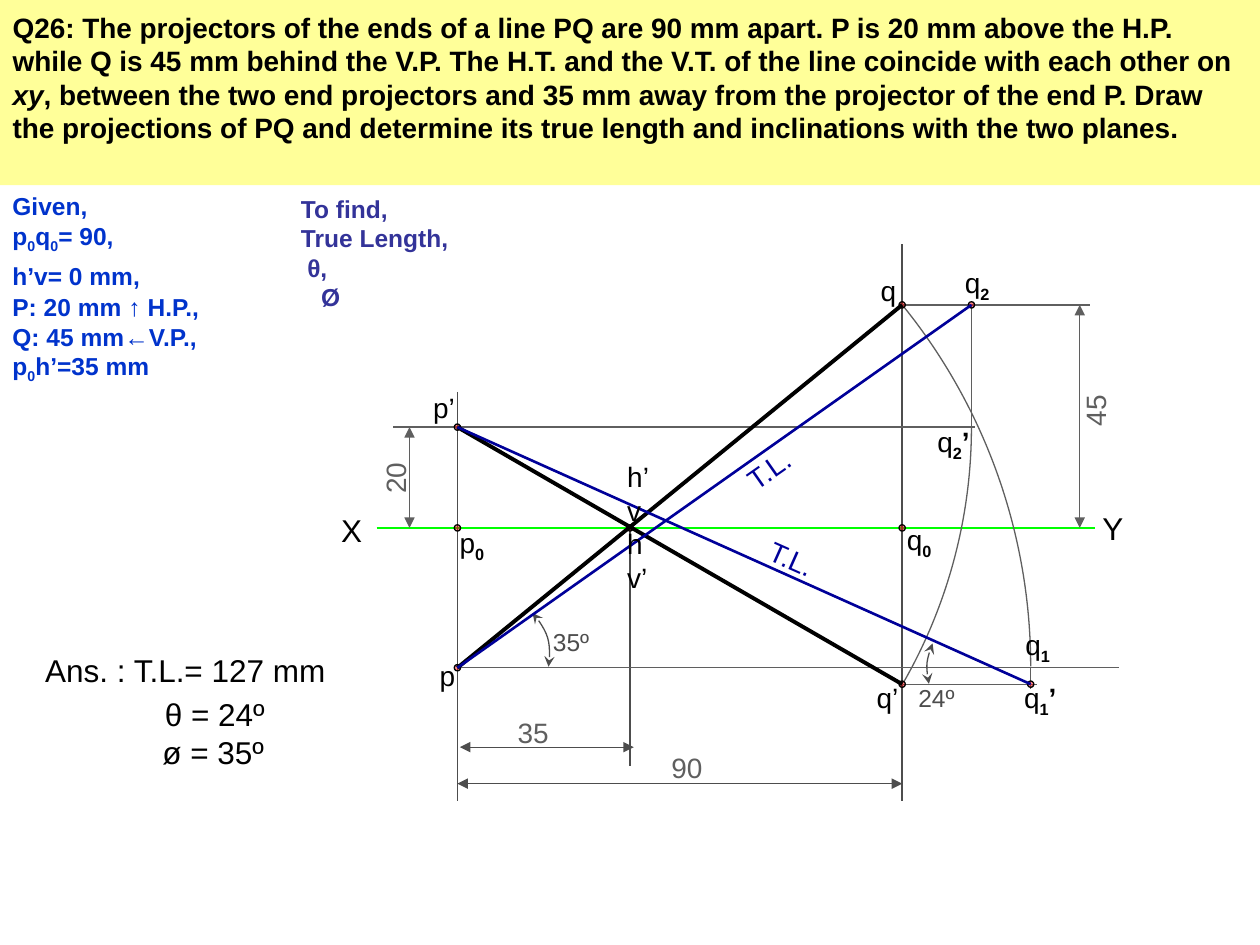
"""Builds the slide for problem Q26: projections, true length and inclinations of line PQ."""
import math

import pptx
import pptx.dml.color
import pptx.enum.shapes
import pptx.enum.text
import pptx.oxml
import pptx.oxml.ns
import pptx.util
from pptx.util import Inches

COLORS = {
    "band": "FFFF99", "black": "000000", "axis": "00FF00", "dimension": "4D4D4D",
    "guide": "5F5F5F", "dot": "FF0000", "true_length": "000099",
    "given": "0033CC", "find": "333399",
}

X_P, X_TRACE, X_Q, X_Q2, X_Q1 = 3.63, 5, 7.16, 7.71, 8.18
Y_Q, Y_P_FRONT, Y_AXIS, Y_P, Y_Q_FRONT = 2.42, 3.39, 4.19, 5.3, 5.43

QUESTION = [[
    ("Q26: The projectors of the ends of a line PQ are 90 mm apart. P is 20 mm above the H.P. "
     "while Q is 45 mm behind the V.P. The H.T. and the V.T. of the line coincide with each "
     "other on ", "b"),
    ("xy", "bi"),
    (", between the two end projectors and 35 mm away from the projector of the end P. Draw the "
     "projections of PQ and determine its true length and inclinations with the two planes.", "b"),
]]
GIVEN = [
    [("Given,", "b")],
    [("p", "b"), ("0", "bs"), ("q", "b"), ("0", "bs"), ("= 90,", "b")],
    [("h’v= 0 mm,", "b")],
    [("P: 20 mm ", "b"), ("↑", ""), (" H.P.,", "b")],
    [("Q: 45 mm", "b"), ("←", ""), ("V.P.,", "b")],
    [("p", "b"), ("0", "bs"), ("h’=35 mm", "b")],
]
TO_FIND = [[(text, "b")] for text in ("To find,", "True Length,", "θ,", "Ø")]
TRACES = [[(text, "")] for text in ("h’", "v", "h", "v’")]

GUIDES = [
    ((2.99, Y_AXIS), (8.69, Y_AXIS), "axis"),
    ((X_P, 3.11), (X_P, 6.36), "dimension"),
    ((X_Q, 1.94), (X_Q, 6.36), "dimension"),
    ((X_TRACE, Y_AXIS), (X_TRACE, 6.08), "dimension"),
    ((3.12, Y_P_FRONT), (X_P, Y_P_FRONT), "guide"),
    ((3.32, Y_P_FRONT), (7.74, Y_P_FRONT), "guide"),
    ((X_Q, Y_Q), (8.65, Y_Q), "guide"),
    ((X_P, Y_P), (8.88, Y_P), "guide"),
    ((X_Q, Y_Q_FRONT), (8.23, Y_Q_FRONT), "guide"),
    ((X_Q1, Y_P), (X_Q1, 5.47), "guide"),
    ((X_Q2, Y_P_FRONT), (X_Q2, Y_Q), "guide"),
]
DIMENSIONS = [
    ((X_P, 6.22), (X_Q, 6.22), "dimension"),
    ((3.65, 5.93), (5.03, 5.93), "dimension"),
    ((3.25, Y_P_FRONT), (3.25, Y_AXIS), "guide"),
    ((8.57, Y_Q), (8.57, Y_AXIS), "guide"),
]
VIEWS = [
    ((X_P, Y_P_FRONT), (X_Q, Y_Q_FRONT), "black", 2.25),
    ((X_P, Y_P), (X_Q, Y_Q), "black", 2.25),
    ((X_P, Y_P_FRONT), (X_Q1, Y_Q_FRONT), "true_length", 1.5),
    ((X_P, Y_P), (X_Q2, Y_Q), "true_length", 1.5),
]
ARCS = [
    ((3.63, 5.29), 4.55, -39.2, 0, 0, "guide", None),
    ((3.63, Y_P_FRONT), 4.08, 29.8, 0, 0, "guide", None),
    ((7.84, 5.25), 0.49, 152.8, 191.2, 13.2, "dimension", "stealth"),
    ((4.37, 5.14), 0.49, 154, 207.8, 162.6, "dimension", "stealth"),
]
POINTS = [
    (X_P, Y_AXIS), (X_Q, Y_AXIS), (X_TRACE, Y_AXIS), (X_P, Y_P_FRONT), (X_Q, Y_Q),
    (X_Q, Y_Q_FRONT), (X_P, Y_P), (X_Q1, Y_Q_FRONT), (X_Q2, Y_Q),
]
LABELS = [
    ("X", "", "", 2.61, 4.01, 0.59, 18, "black", 0),
    ("Y", "", "", 8.65, 3.99, 0.53, 18, "black", 0),
    ("p", "0", "", 3.55, 4.12, 0.46, 16, "black", 0),
    ("q", "0", "", 7.1, 4.1, 0.46, 16, "black", 0),
    ("p’", "", "", 3.34, 3.05, 0.46, 16, "black", 0),
    ("q", "", "", 6.89, 2.12, 0.46, 16, "black", 0),
    ("q’", "", "", 6.86, 5.35, 0.46, 16, "black", 0),
    ("p", "", "", 3.39, 5.18, 0.46, 16, "black", 0),
    ("q", "1", "", 8.04, 4.93, 0.46, 16, "black", 0),
    ("q", "1", "’", 8.03, 5.35, 0.51, 16, "black", 0),
    ("q", "2", "", 7.56, 2.06, 0.51, 16, "black", 0),
    ("q", "2", "’", 7.34, 3.32, 0.51, 16, "black", 0),
    ("90", "", "", 5.23, 5.91, 0.62, 16, "guide", 0),
    ("35", "", "", 4.01, 5.63, 0.62, 16, "guide", 0),
    ("20", "", "", 2.87, 3.57, 0.53, 16, "guide", 270),
    ("45", "", "", 8.38, 2.99, 0.62, 16, "guide", 270),
    ("T.L.", "", "", 6, 4.28, 0.7, 16, "true_length", 24),
    ("T.L.", "", "", 5.81, 3.5, 0.7, 16, "true_length", 325),
    ("24º", "", "", 7.19, 5.37, 0.55, 14, "dimension", 0),
    ("35º", "", "", 4.29, 4.93, 0.55, 14, "dimension", 0),
    ("Ans. : T.L.= 127 mm", "", "", 0.26, 5.12, 2.58, 18, "black", 0),
    ("θ = 24º", "", "", 1.21, 5.47, 1.27, 18, "black", 0),
    ("ø = 35º", "", "", 1.19, 5.77, 1.16, 18, "black", 0),
]


def rgb(name):
    return pptx.dml.color.RGBColor.from_string(COLORS[name])


def write_text(box, lines, size, color, indents=None, gaps=None):
    frame = box.text_frame
    frame.word_wrap = True
    frame.auto_size = pptx.enum.text.MSO_AUTO_SIZE.NONE
    frame.vertical_anchor = pptx.enum.text.MSO_ANCHOR.TOP
    for index, line in enumerate(lines):
        para = frame.add_paragraph() if index else frame.paragraphs[0]
        para.alignment = pptx.enum.text.PP_ALIGN.LEFT
        para.space_before = pptx.util.Pt((gaps or {}).get(index, 0))
        if indents and index in indents:
            para._p.get_or_add_pPr().set("marL", str(Inches(indents[index])))
        for text, style in line:
            span = para.add_run()
            span.text = text
            span.font.name = "Arial"
            span.font.size = pptx.util.Pt(size)
            span.font.color.rgb = rgb(color)
            span.font.bold = "b" in style
            span.font.italic = "i" in style
            if "s" in style:
                span.font._element.set("baseline", "-25000")


def add_text(page, lines, left, top, width, height, rotation=0, **style):
    box = page.shapes.add_textbox(*map(Inches, (left, top, width, height)))
    box.rotation = rotation
    write_text(box, lines, **style)


def style_line(shape, color, width=0.75, arrow=None):
    shape.line.color.rgb = rgb(color)
    shape.line.width = pptx.util.Pt(width)
    if arrow:
        outline = shape._element.spPr.find(pptx.oxml.ns.qn("a:ln"))
        for end in ("headEnd", "tailEnd"):
            outline.append(pptx.oxml.parse_xml(
                f'<a:{end} {pptx.oxml.ns.nsdecls("a")} type="{arrow}"/>'))


def add_line(page, start, end, color, width=0.75, arrow=None):
    line = page.shapes.add_connector(
        pptx.enum.shapes.MSO_CONNECTOR.STRAIGHT, *map(Inches, start + end))
    style_line(line, color, width, arrow)
    line._element.spPr.append(
        pptx.oxml.parse_xml(f'<a:effectLst {pptx.oxml.ns.nsdecls("a")}/>'))


def add_arc(page, center, radius, first, last, rotation, color, arrow):
    first, last = math.radians(first), math.radians(last)
    reach = 4 / 3 * math.tan((last - first) / 4)

    def spot(angle, pull):
        x = math.cos(angle) - pull * math.sin(angle)
        y = math.sin(angle) + pull * math.cos(angle)
        return Inches(center[0] + radius * x), Inches(center[1] + radius * y)

    builder = page.shapes.build_freeform(*spot(first, 0))
    builder.add_line_segments(
        [spot(first, reach), spot(last, -reach), spot(last, 0), tuple(map(Inches, center))],
        close=False)
    arc = builder.convert_to_shape()
    outline = arc._element.spPr.find(".//" + pptx.oxml.ns.qn("a:path"))
    segments = outline.findall(pptx.oxml.ns.qn("a:lnTo"))
    curve = pptx.oxml.parse_xml(f'<a:cubicBezTo {pptx.oxml.ns.nsdecls("a")}/>')
    for segment in segments[:3]:
        curve.append(segment[0])
    for segment in segments:
        outline.remove(segment)
    outline.append(curve)
    arc.rotation = rotation
    arc.fill.background()
    arc.shadow.inherit = False
    style_line(arc, color, arrow=arrow)


def add_point(page, x, y, size=0.05):
    dot = page.shapes.add_shape(
        pptx.enum.shapes.MSO_SHAPE.OVAL,
        *map(Inches, (x - size / 2, y - size / 2, size, size)))
    dot.shadow.inherit = False
    dot.fill.solid()
    dot.fill.fore_color.rgb = rgb("dot")
    tint = dot._element.spPr.find(".//" + pptx.oxml.ns.qn("a:srgbClr"))
    tint.append(pptx.oxml.parse_xml(f'<a:alpha {pptx.oxml.ns.nsdecls("a")} val="46000"/>'))
    style_line(dot, "black")


def main():
    deck = pptx.Presentation()
    deck.slide_width, deck.slide_height = Inches(10), Inches(7.5)
    page = deck.slides.add_slide(deck.slide_layouts.get_by_name("Title Only"))
    title = page.shapes.title
    title.left, title.top, title.width, title.height = map(Inches, (0, 0, 10, 1.47))
    title.fill.solid()
    title.fill.fore_color.rgb = rgb("band")
    title.text_frame.margin_top = Inches(0.08)
    write_text(title, QUESTION, size=16, color="black")

    for start, end, color in GUIDES:
        add_line(page, start, end, color)
    for start, end, color in DIMENSIONS:
        add_line(page, start, end, color, arrow="triangle")
    for arc in ARCS:
        add_arc(page, *arc)
    for x, y in POINTS:
        add_point(page, x, y)
    for view in VIEWS:
        add_line(page, *view)

    add_text(page, GIVEN, 0, 1.47, 1.99, 1.56, size=14, color="given",
             gaps={2: 4, 3: 0.5, 4: 0.5})
    add_text(page, TO_FIND, 2.29, 1.49, 1.49, 1.03, size=14, color="find",
             indents={2: 0.05, 3: 0.16})
    add_text(page, TRACES, 4.88, 3.6, 0.4, 1.17, size=16, color="black")
    for text, subscript, mark, left, top, width, size, color, rotation in LABELS:
        spans = [(part, style) for part, style in
                 ((text, ""), (subscript, "bs"), (mark, "b")) if part]
        add_text(page, [spans], left, top, width, 0.1 + size / 60, rotation,
                 size=size, color=color)
    deck.save("out.pptx")


if __name__ == "__main__":
    main()
